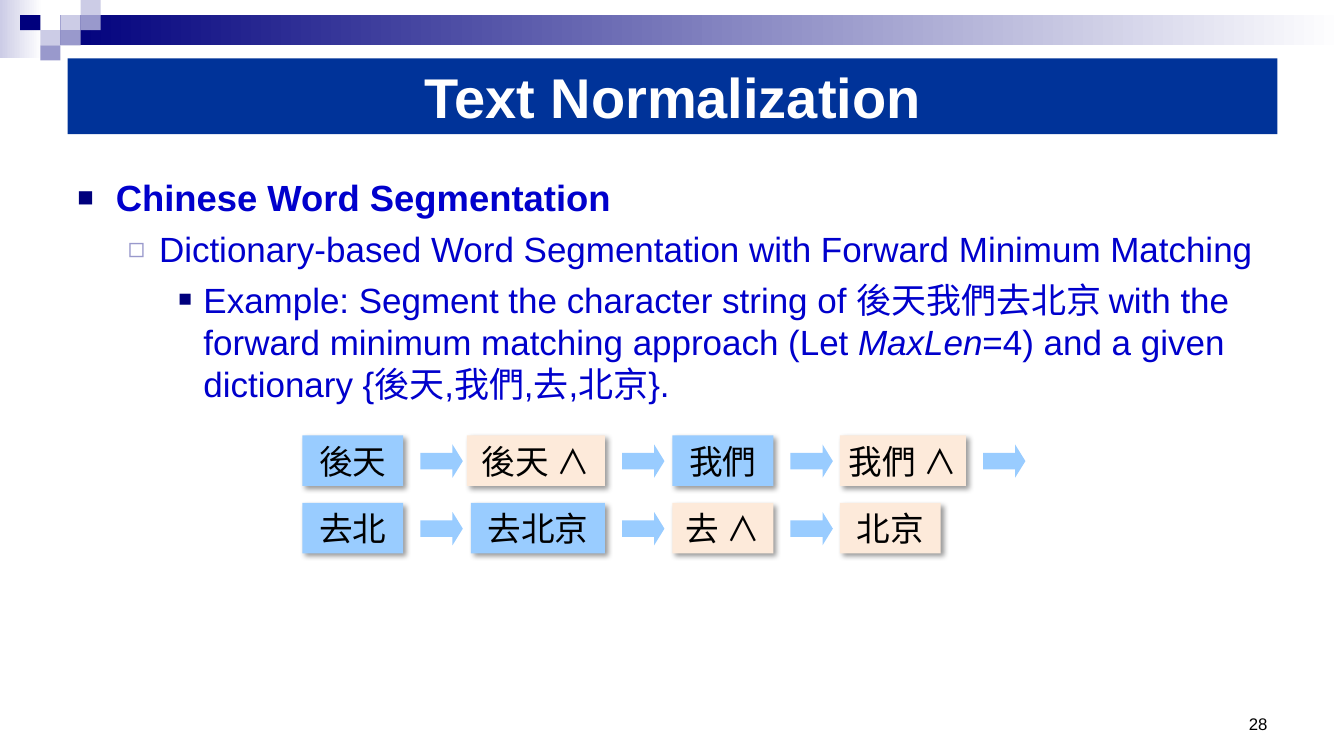
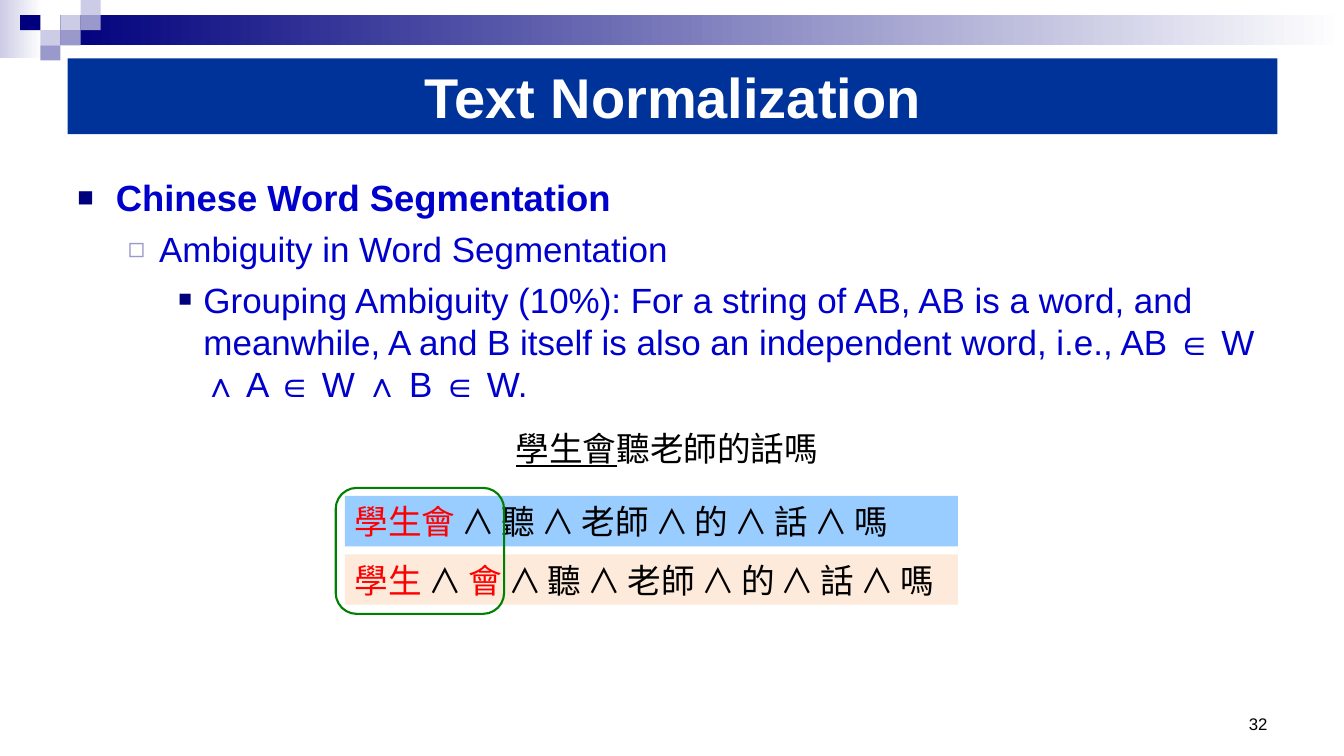
from dataclasses import dataclass
from itertools import chain

from lxml.etree import SubElement
from pptx import Presentation
from pptx.dml.color import RGBColor
from pptx.enum.shapes import MSO_SHAPE
from pptx.enum.text import MSO_ANCHOR, PP_ALIGN
from pptx.oxml.ns import qn
from pptx.util import Inches, Pt

NAVY = RGBColor(0x00, 0x00, 0x7D)
LILAC = RGBColor(0x99, 0x99, 0xCC)
PALE = RGBColor(0xCC, 0xCC, 0xE6)
WHITE = RGBColor(0xFF, 0xFF, 0xFF)
BLACK = RGBColor(0x00, 0x00, 0x00)
TITLE_BLUE = RGBColor(0x00, 0x33, 0x99)
BODY_BLUE = RGBColor(0x00, 0x00, 0xCC)
SKY = RGBColor(0x99, 0xCC, 0xFF)
PEACH = RGBColor(0xFD, 0xEA, 0xDA)
RED = RGBColor(0xFF, 0x00, 0x00)
GREEN = RGBColor(0x00, 0x80, 0x00)
LATIN = "Arial"
CJK = "Noto Sans CJK SC"


@dataclass(frozen=True)
class Span:
    text: str
    size: float = 24
    color: RGBColor = BLACK
    italic: bool = False
    underline: bool = False


@dataclass(frozen=True)
class Level:
    indent: float
    hang: float
    char: str
    color: RGBColor
    scale: int
    size: int
    bold: bool = False


@dataclass(frozen=True)
class Word:
    left: float
    width: float
    text: str
    fill: RGBColor


@dataclass(frozen=True)
class Square:
    left: float
    top: float
    color: RGBColor


LEVELS = (
    Level(0.38, 0.38, "■", NAVY, 75, 26, True),
    Level(0.81, 0.31, "◻", LILAC, 80, 25),
    Level(1.25, 0.25, "■", NAVY, 65, 25),
)
SQUARES = (
    Square(0.6, 0.15, PALE), Square(0.8, 0, PALE), Square(0.8, 0.15, LILAC),
    Square(0.4, 0.3, PALE), Square(0.2, 0.15, NAVY), Square(0.6, 0.3, LILAC),
    Square(0.4, 0.45, LILAC),
)
FIRST_ROW = (
    Word(3, 1, "後天", SKY), Word(4.63, 1.37, "後天 ∧", PEACH),
    Word(6.67, 1, "我們", SKY), Word(8.33, 1.25, "我們 ∧", PEACH),
)
SECOND_ROW = (
    Word(3, 1, "去北", SKY), Word(4.67, 1.33, "去北京", SKY),
    Word(6.67, 1, "去 ∧", PEACH), Word(8.33, 1, "北京", PEACH),
)


def style_run(r, span: Span, latin: str, bold: bool = False) -> None:
    r.font.size = Pt(span.size)
    r.font.name = latin
    r.font.bold = bold
    r.font.italic = span.italic
    r.font.underline = span.underline
    r.font.color.rgb = span.color
    ea = SubElement(r.font._element, qn("a:ea"))
    ea.set("typeface", CJK)


def write(p, spans, latin: str = CJK, bold: bool = False) -> None:
    for span in spans:
        r = p.add_run()
        r.text = span.text
        style_run(r, span, latin, bold)


def add_box(s, kind, left: float, top: float, width: float, height: float, fill=None):
    sp = s.shapes.add_shape(kind, Inches(left), Inches(top), Inches(width), Inches(height))
    sp.shadow.inherit = False
    sp.line.fill.background()
    if fill is None:
        sp.fill.background()
    else:
        sp.fill.solid()
        sp.fill.fore_color.rgb = fill
    return sp


def add_text(s, left: float, top: float, width: float, height: float):
    sp = s.shapes.add_textbox(Inches(left), Inches(top), Inches(width), Inches(height))
    sp.text_frame.word_wrap = True
    return sp.text_frame


def add_gradient(s, left: float, top: float, width: float, height: float, start: RGBColor) -> None:
    fill = add_box(s, MSO_SHAPE.RECTANGLE, left, top, width, height).fill
    fill.gradient()
    fill.gradient_angle = 0
    for stop, color, position in zip(fill.gradient_stops, (start, WHITE), (0, 1)):
        stop.color.rgb = color
        stop.position = position


def add_drop_shadow(sp) -> None:
    effects = sp._element.spPr.find(qn("a:effectLst"))
    shadow = SubElement(effects, qn("a:outerShdw"))
    for key, value in (("blurRad", Pt(4)), ("dist", Pt(3)), ("dir", 45 * 60000)):
        shadow.set(key, str(int(value)))
    shadow.set("algn", "tl")
    shadow.set("rotWithShape", "0")
    color = SubElement(shadow, qn("a:srgbClr"))
    color.set("val", str(BLACK))
    SubElement(color, qn("a:alpha")).set("val", "40000")


def add_bullet(p, level: Level) -> None:
    pPr = p._p.get_or_add_pPr()
    pPr.set("marL", str(Inches(level.indent)))
    pPr.set("indent", str(-Inches(level.hang)))
    color = SubElement(pPr, qn("a:buClr"))
    SubElement(color, qn("a:srgbClr")).set("val", str(level.color))
    SubElement(pPr, qn("a:buSzPct")).set("val", str(level.scale * 1000))
    SubElement(pPr, qn("a:buFont")).set("typeface", LATIN)
    SubElement(pPr, qn("a:buChar")).set("char", level.char)


def add_body(s, topic: str, detail) -> None:
    tf = add_text(s, 0.67, 1.71, 12, 5.33)
    lines = ((Span("Chinese Word Segmentation"),), (Span(topic),), detail)
    for i, (level, spans) in enumerate(zip(LEVELS, lines)):
        p = tf.add_paragraph() if i else tf.paragraphs[0]
        p.level = i
        p.line_spacing = Pt(30)
        p.space_before = Pt(6 if i else 0)
        add_bullet(p, level)
        write(p, [Span(x.text, level.size, BODY_BLUE, x.italic) for x in spans], LATIN, level.bold)


def add_content_slide(prs, number: int, topic: str, detail):
    s = prs.slides.add_slide(prs.slide_layouts[5])
    title = s.shapes.title
    title.left, title.top, title.width, title.height = map(Inches, (0.67, 0.58, 12, 0.75))
    title.fill.solid()
    title.fill.fore_color.rgb = TITLE_BLUE
    tf = title.text_frame
    tf.text = "Text Normalization"
    tf.vertical_anchor = MSO_ANCHOR.MIDDLE
    p = tf.paragraphs[0]
    p.alignment = PP_ALIGN.CENTER
    style_run(p.runs[0], Span(tf.text, 40, WHITE), LATIN, True)

    add_gradient(s, 0, 0, 0.42, 0.58, PALE)
    add_gradient(s, 0.6, 0.15, 12.73, 0.3, NAVY)
    for square in SQUARES:
        add_box(s, MSO_SHAPE.RECTANGLE, square.left, square.top, 0.2, 0.15, square.color)

    tf = add_text(s, 11.11, 6.83, 1.56, 0.5)
    tf.vertical_anchor = MSO_ANCHOR.BOTTOM
    p = tf.paragraphs[0]
    p.alignment = PP_ALIGN.RIGHT
    write(p, [Span(str(number), 12)], LATIN)
    add_body(s, topic, detail)
    return s


def fill_box(sp, spans, alignment, margin: float = 0.1) -> None:
    tf = sp.text_frame
    tf.word_wrap = True
    tf.margin_left = tf.margin_right = Inches(margin)
    tf.vertical_anchor = MSO_ANCHOR.TOP
    p = tf.paragraphs[0]
    p.alignment = alignment
    p.line_spacing = Pt(29)
    write(p, spans)


def add_word_row(s, words, top: float, arrows: int) -> None:
    for i, word in enumerate(words):
        sp = add_box(s, MSO_SHAPE.RECTANGLE, word.left, top, word.width, 0.5, word.fill)
        add_drop_shadow(sp)
        fill_box(sp, [Span(word.text)], PP_ALIGN.CENTER, 0.03)
        if i < arrows:
            arrow_left = word.left + word.width + 0.17
            arrow = add_box(s, MSO_SHAPE.RIGHT_ARROW, arrow_left, top + 0.09, 0.42, 0.33, SKY)
            arrow.adjustments[1] = 0.31


def add_segmentation(s, top: float, fill: RGBColor, marked, rest) -> None:
    words = [Span(w, color=RED) for w in marked] + [Span(w) for w in rest]
    joint = (Span(" ", 20), Span("∧"), Span(" ", 20))
    spans = chain(words[:1], *((*joint, word) for word in words[1:]))
    sp = add_box(s, MSO_SHAPE.RECTANGLE, 3.42, top, 6.08, 0.5, fill)
    fill_box(sp, spans, PP_ALIGN.LEFT)


def build_matching(prs) -> None:
    s = add_content_slide(
        prs, 28, "Dictionary-based Word Segmentation with Forward Minimum Matching",
        (
            Span("Example: Segment the character string of 後天我們去北京 with the "
                 "forward minimum matching approach (Let "),
            Span("MaxLen", italic=True),
            Span("=4) and a given dictionary {後天,我們,去,北京}."),
        ),
    )
    add_word_row(s, FIRST_ROW, 4.32, 4)
    add_word_row(s, SECOND_ROW, 4.99, 3)


def build_ambiguity(prs) -> None:
    s = add_content_slide(
        prs, 32, "Ambiguity in Word Segmentation",
        (Span("Grouping Ambiguity (10%): For a string of AB, AB is a word, and "
              "meanwhile, A and B itself is also an independent word, i.e., "
              "AB ∈ W ∧ A ∈ W ∧ B ∈ W."),),
    )
    rest = ("聽", "老師", "的", "話", "嗎")
    add_segmentation(s, 5.5, PEACH, ("學生", "會"), rest)
    add_segmentation(s, 4.92, SKY, ("學生會",), rest)
    sentence = add_text(s, 5, 4.19, 3.23, 0.5)._parent
    fill_box(sentence, [Span("學生會", underline=True), Span("聽老師的話嗎")], PP_ALIGN.CENTER)
    frame = add_box(s, MSO_SHAPE.ROUNDED_RECTANGLE, 3.33, 4.84, 1.67, 1.25)
    frame.line.color.rgb = GREEN
    frame.line.width = Pt(1.5)


def main() -> None:
    prs = Presentation()
    prs.slide_width, prs.slide_height = Inches(13.33), Inches(7.5)
    build_matching(prs)
    build_ambiguity(prs)
    prs.save("out.pptx")


if __name__ == "__main__":
    main()
